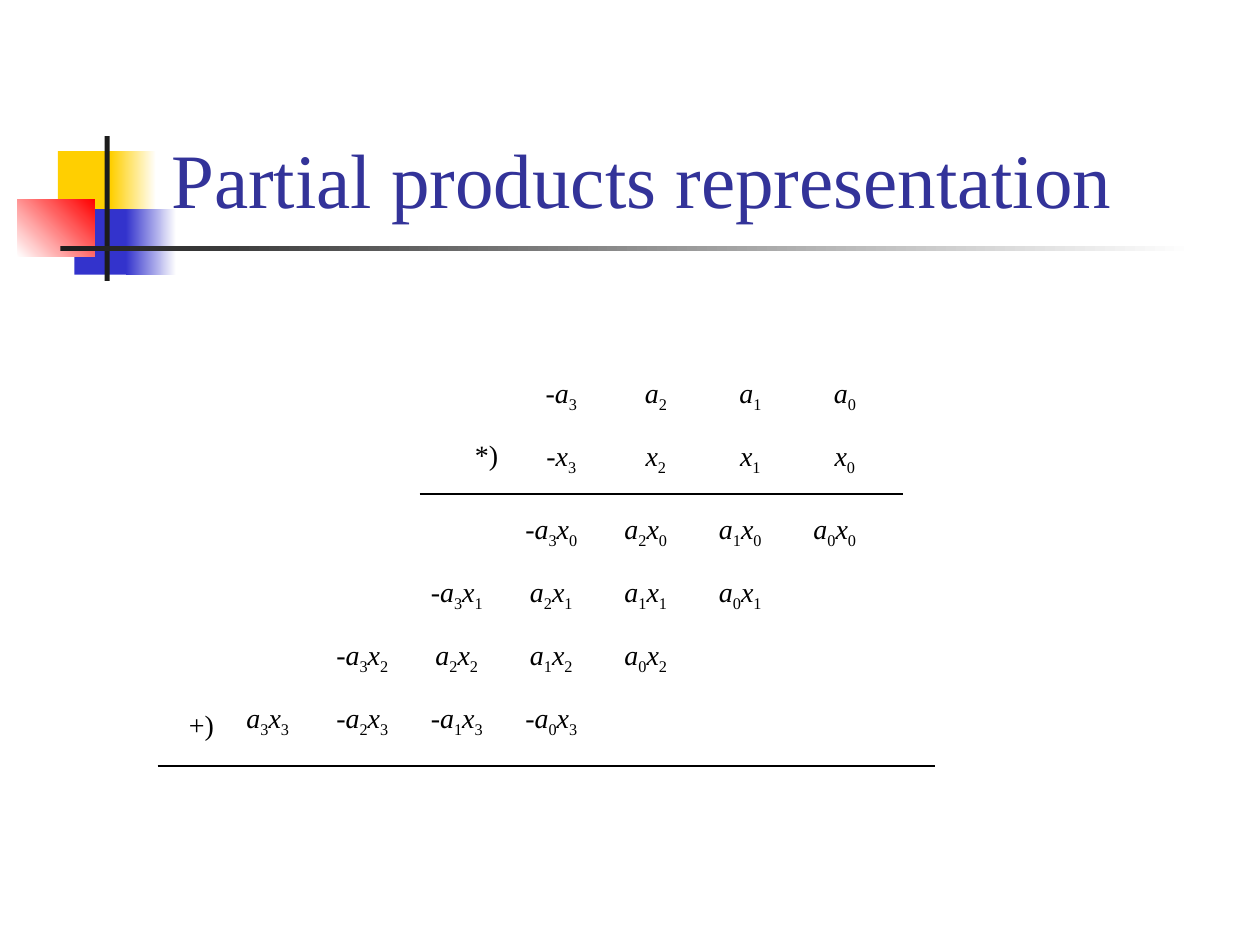
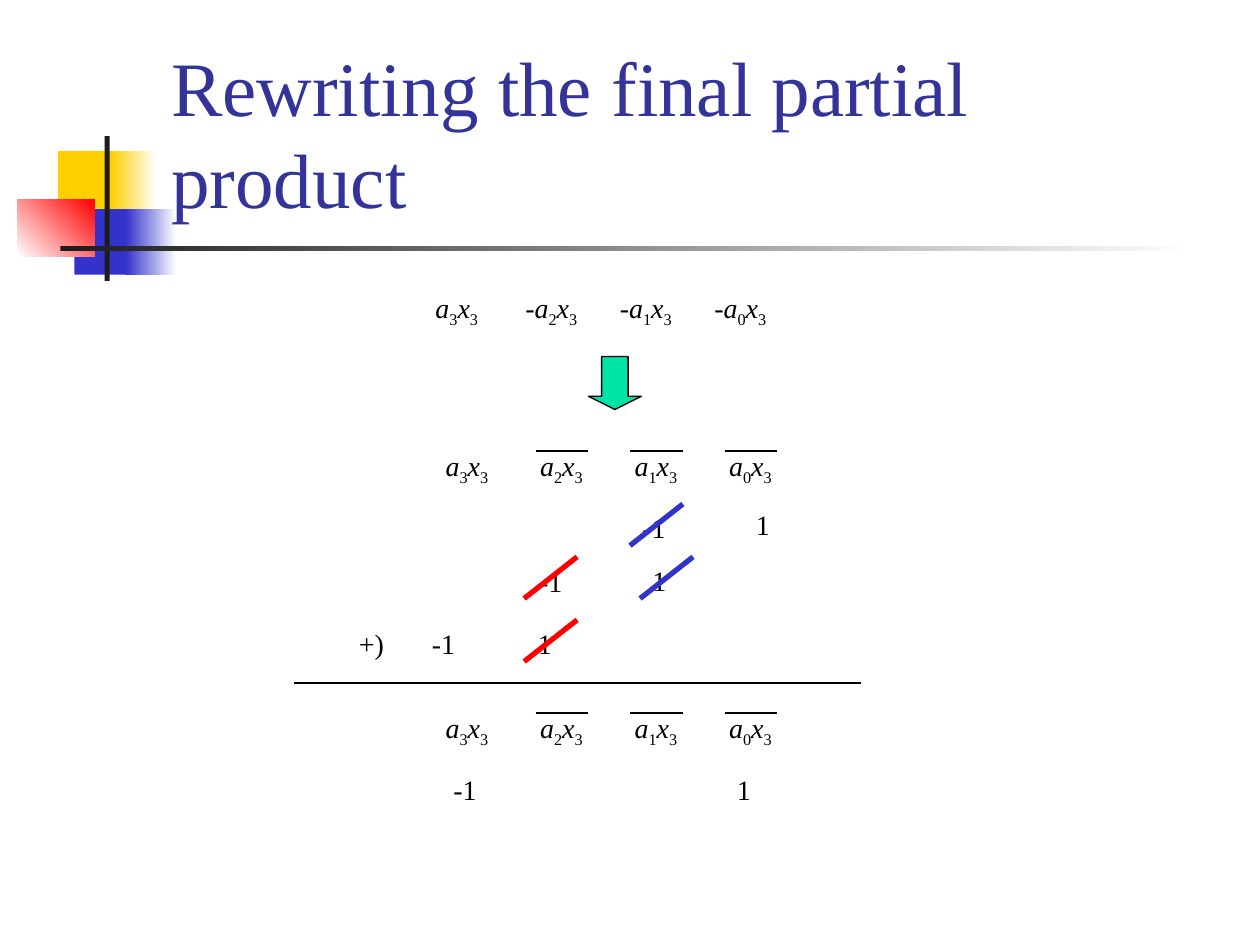
from dataclasses import dataclass

from lxml.etree import SubElement
from pptx import Presentation
from pptx.dml.color import RGBColor as Rgb
from pptx.enum.shapes import MSO_CONNECTOR as Connector, MSO_SHAPE as Preset
from pptx.enum.text import MSO_ANCHOR as Anchor, MSO_AUTO_SIZE as AutoSize, PP_ALIGN as Align
from pptx.oxml.ns import qn
from pptx.util import Inches, Pt


@dataclass(frozen=True)
class Theme:
    font: str = "Times New Roman"
    title_size: int = 44
    body_size: int = 16
    rule_width: float = 0.75
    strike_width: float = 3
    title: str = "333399"
    ink: str = "000000"
    charcoal: str = "1C1C1C"
    yellow: str = "FFCF01"
    blue: str = "3333CC"
    red: str = "FF0000"
    green: str = "00E4A8"
    paper: str = "FFFFFF"


THEME = Theme()
TITLE_ONLY = 5
COLUMN = 0.75      # distance between neighbouring terms
TERM_HEIGHT = 0.42
DIGITS = range(3, -1, -1)


def box(left, top, width, height):
    return [Inches(value) for value in (left, top, width, height)]


def style_font(font, size, colour):
    font.name = THEME.font
    font.size = Pt(size)
    font.color.rgb = Rgb.from_string(colour)


# Shared slide design
def add_block(slide, place, colours, angle=0):
    """Add a borderless rectangle, filled solid or with a two-colour gradient."""
    block = slide.shapes.add_shape(Preset.RECTANGLE, *box(*place))
    block.shadow.inherit = False
    block.line.fill.background()
    if len(colours) == 1:
        block.fill.solid()
        block.fill.fore_color.rgb = Rgb.from_string(colours[0])
    else:
        block.fill.gradient()
        block.fill.gradient_angle = angle
        for stop, colour in zip(block.fill.gradient_stops, colours):
            stop.color.rgb = Rgb.from_string(colour)
    return block


def add_design(layout, slide):
    """Draw the corner blocks and title rule, then move them to the layout."""
    for holder in list(layout.placeholders)[1:]:
        holder.element.getparent().remove(holder.element)
    yellow, blue, dark, paper = THEME.yellow, THEME.blue, THEME.charcoal, THEME.paper
    design = [
        ((0.46, 1.2, 0.48, 0.52), [yellow]),
        ((0.88, 1.2, 0.36, 0.52), [yellow, paper]),
        ((0.59, 1.66, 0.46, 0.52), [blue]),
        ((1, 1.66, 0.4, 0.52), [blue, paper]),
        ((0.14, 1.58, 0.61, 0.46), [paper, THEME.red], 45),
        ((0.83, 1.08, 0.04, 1.15), [dark]),
        ((0.48, 1.95, 9, 0.04), [dark, paper]),
    ]
    layout_tree = layout.placeholders[0].element.getparent()
    for part in design:
        layout_tree.append(add_block(slide, *part).element)


def set_title(slide, text):
    title = slide.shapes.title
    title.left, title.top, title.width, title.height = box(1.26, 0.23, 8.52, 1.6)
    frame = title.text_frame
    frame.text = text
    frame.word_wrap = True
    frame.auto_size = AutoSize.NONE
    frame.vertical_anchor = Anchor.BOTTOM
    heading = frame.paragraphs[0]
    heading.alignment = Align.LEFT
    style_font(heading.runs[0].font, THEME.title_size, THEME.title)


# Arithmetic elements
def add_term(slide, term, left, top):
    """Write a term such as -a3x0: letters italic, digits as subscripts."""
    frame = slide.shapes.add_textbox(*box(left, top, COLUMN, TERM_HEIGHT)).text_frame
    frame.word_wrap = False
    frame.vertical_anchor = Anchor.MIDDLE
    paragraph = frame.paragraphs[0]
    paragraph.alignment = Align.CENTER
    sign, letters = ("-", term[1:]) if term.startswith("-") else ("", term)
    for place in range(0, len(letters), 2):
        symbol, index = letters[place:place + 2]
        for text, is_index in ((sign + symbol, False), (index, True)):
            run = paragraph.add_run()
            run.text = text
            style_font(run.font, THEME.body_size, THEME.ink)
            run.font.italic = not is_index
            if is_index:
                run.font._element.set("baseline", "-25000")
        sign = ""


def add_row(slide, terms, left, top):
    for column, term in enumerate(terms):
        add_term(slide, term, left + column * COLUMN, top)


def add_label(slide, text, left, top):
    """Write an upright label in a box with room to spare for one line."""
    width = 0.33 if len(text) == 1 else 0.45
    frame = slide.shapes.add_textbox(*box(left, top, width, 0.37)).text_frame
    frame.text = text
    frame.word_wrap = False
    frame.auto_size = AutoSize.NONE
    label = frame.paragraphs[0]
    label.alignment = Align.LEFT
    style_font(label.runs[0].font, THEME.body_size, THEME.ink)


def add_line(slide, start, end, colour=THEME.ink, width=THEME.rule_width):
    line = slide.shapes.add_connector(Connector.STRAIGHT, *box(*start, *end))
    line.line.color.rgb = Rgb.from_string(colour)
    line.line.width = Pt(width)
    SubElement(line.element.spPr, qn("a:effectLst"))


def add_rule(slide, left, right, y):
    add_line(slide, (left, y), (right, y))


def add_strike(slide, right, top, colour):
    add_line(slide, (right, top), (right - 0.42, top + 0.33), colour, THEME.strike_width)


def add_complement_row(slide, left, top):
    """Write a3x3 followed by the three terms under overbars."""
    add_row(slide, [f"a{i}x3" for i in DIGITS], left, top)
    for column in range(1, 4):
        bar = left + column * COLUMN + 0.17
        add_rule(slide, bar, bar + 0.42, top + 0.08)


def add_down_arrow(slide, left, top):
    arrow = slide.shapes.add_shape(Preset.DOWN_ARROW, *box(left, top, 0.42, 0.42))
    arrow.shadow.inherit = False
    arrow.adjustments[0], arrow.adjustments[1] = 0.5, 0.25
    arrow.fill.solid()
    arrow.fill.fore_color.rgb = Rgb.from_string(THEME.green)
    arrow.line.color.rgb = Rgb.from_string(THEME.ink)
    arrow.line.width = Pt(THEME.rule_width)


def partial_product(j):
    """Terms of row j; a term is negative when exactly one factor is a sign digit."""
    return [("-" if (i == 3) != (j == 3) else "") + f"a{i}x{j}" for i in DIGITS]


# Slides
def build_partial_products(slide):
    set_title(slide, "Partial products representation")
    for factor, top in (("a", 2.92), ("x", 3.42)):
        add_row(slide, [("-" if i == 3 else "") + f"{factor}{i}" for i in DIGITS], 4.08, top)
    add_label(slide, "*)", 3.67, 3.42)
    add_rule(slide, 3.33, 7.17, 3.92)
    for j in range(4):
        add_row(slide, partial_product(j), 4 - j * COLUMN, 4 + j * 0.5)
    add_label(slide, "+)", 1.4, 5.57)
    add_rule(slide, 1.25, 7.42, 6.08)


def build_rewriting(slide):
    set_title(slide, "Rewriting the final partial product")
    add_row(slide, partial_product(3), 3.25, 2.25)
    add_down_arrow(slide, 4.67, 2.83)

    # Complemented terms and their corrections
    add_complement_row(slide, 3.33, 3.5)
    corrections = [
        ("-1", 5, 4), ("1", 5.9, 3.98),
        ("-1", 4.18, 4.43), ("1", 5.08, 4.42),
        ("-1", 3.33, 4.92), ("1", 4.17, 4.92), ("+)", 2.75, 4.92),
    ]
    for correction in corrections:
        add_label(slide, *correction)
    add_rule(slide, 2.33, 6.83, 5.42)

    # Result
    add_complement_row(slide, 3.33, 5.58)
    add_label(slide, "-1", 3.5, 6.08)
    add_label(slide, "1", 5.75, 6.08)

    # Cancelled pairs
    for right, top, colour in (
        (5.42, 4, THEME.blue), (5.5, 4.42, THEME.blue),
        (4.58, 4.42, THEME.red), (4.58, 4.92, THEME.red),
    ):
        add_strike(slide, right, top, colour)


def main():
    deck = Presentation()
    deck.slide_width, deck.slide_height = Inches(10), Inches(7.5)
    layout = deck.slide_layouts[TITLE_ONLY]
    products, rewriting = [deck.slides.add_slide(layout) for _ in range(2)]
    add_design(layout, products)
    build_partial_products(products)
    build_rewriting(rewriting)
    deck.save("out.pptx")


if __name__ == "__main__":
    main()
